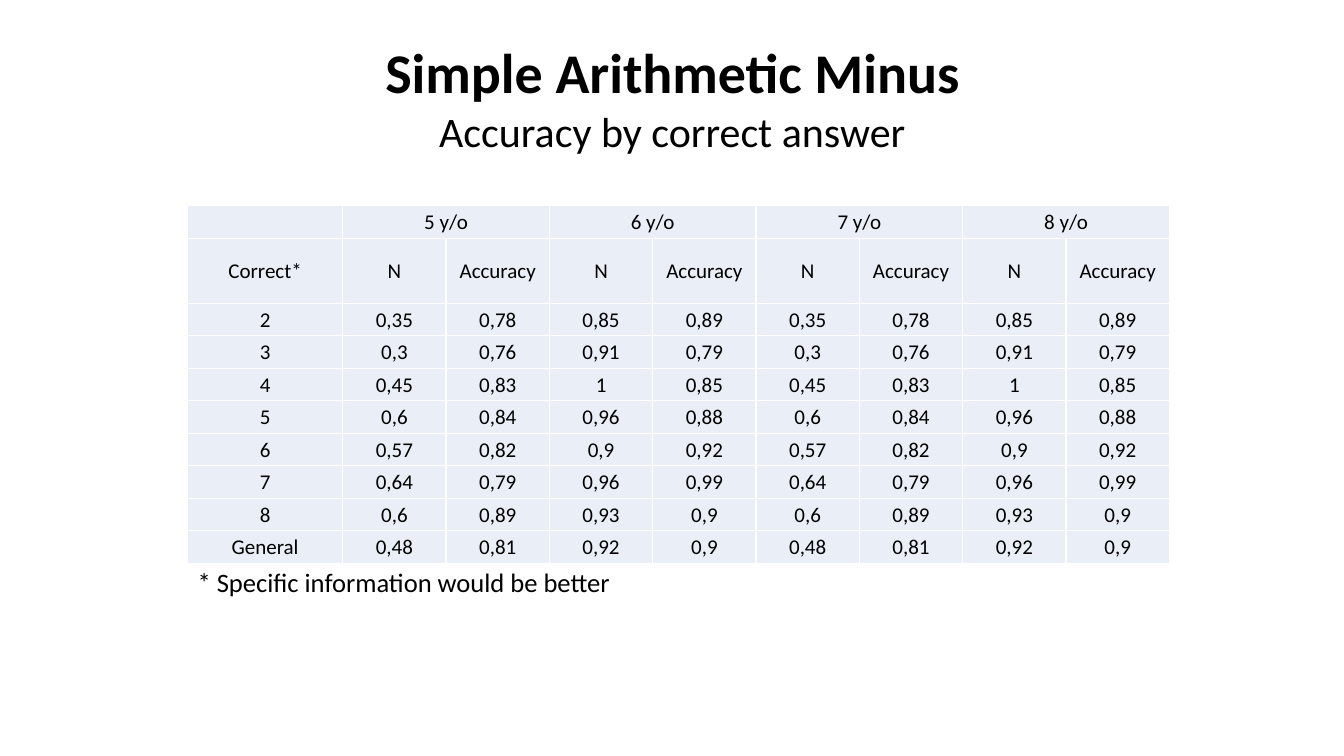
from dataclasses import dataclass

from lxml.etree import SubElement
from pptx import Presentation
from pptx.dml.color import RGBColor
from pptx.enum.text import MSO_ANCHOR, MSO_AUTO_SIZE, PP_ALIGN
from pptx.oxml.ns import qn
from pptx.util import Inches, Pt


@dataclass(frozen=True)
class Theme:
    """Colours, font and type sizes of the slide."""
    font: str = "Calibri"
    ink: str = "000000"
    cell: str = "EAEFF7"
    rule: str = "FFFFFF"
    heading_size: int = 40
    subheading_size: int = 30
    note_size: int = 19
    cell_size: int = 15
    rule_width: int = 1


THEME = Theme()
AGES = ("5 y/o", "6 y/o", "7 y/o", "8 y/o")
MEASURES = ("N", "Accuracy")
RESULTS = (
    ("2", "0,35", "0,78", "0,85", "0,89", "0,35", "0,78", "0,85", "0,89"),
    ("3", "0,3", "0,76", "0,91", "0,79", "0,3", "0,76", "0,91", "0,79"),
    ("4", "0,45", "0,83", "1", "0,85", "0,45", "0,83", "1", "0,85"),
    ("5", "0,6", "0,84", "0,96", "0,88", "0,6", "0,84", "0,96", "0,88"),
    ("6", "0,57", "0,82", "0,9", "0,92", "0,57", "0,82", "0,9", "0,92"),
    ("7", "0,64", "0,79", "0,96", "0,99", "0,64", "0,79", "0,96", "0,99"),
    ("8", "0,6", "0,89", "0,93", "0,9", "0,6", "0,89", "0,93", "0,9"),
    ("General", "0,48", "0,81", "0,92", "0,9", "0,48", "0,81", "0,92", "0,9"),
)


def style_paragraph(paragraph, size, align, bold=False):
    """Set the font and alignment of a paragraph."""
    paragraph.alignment = align
    font = paragraph.font
    font.name, font.size, font.bold = THEME.font, Pt(size), bold
    font.color.rgb = RGBColor.from_string(THEME.ink)


def place(placeholder, left, top, width, height):
    """Move a placeholder and fix its text size."""
    placeholder.left, placeholder.top = Inches(left), Inches(top)
    placeholder.width, placeholder.height = Inches(width), Inches(height)
    placeholder.text_frame.word_wrap = True
    placeholder.text_frame.auto_size = MSO_AUTO_SIZE.NONE


def fill_title(title):
    """Write the heading and the subheading."""
    place(title, 3.52, 0.32, 6.3, 1.28)
    title.text_frame.text = "Simple Arithmetic Minus\nAccuracy by correct answer"
    heading, subheading = title.text_frame.paragraphs
    style_paragraph(heading, THEME.heading_size, PP_ALIGN.CENTER, bold=True)
    style_paragraph(subheading, THEME.subheading_size, PP_ALIGN.CENTER)


def fill_note(note):
    """Write the unbulleted note below the table."""
    place(note, 1.86, 5.6, 6.13, 1.17)
    note.text_frame.text = "* Specific information would be better"
    remark = note.text_frame.paragraphs[0]
    remark.line_spacing = 0.9
    remark.space_before = Pt(0)
    properties = remark._p.get_or_add_pPr()
    properties.set("marL", "0")
    properties.set("indent", "0")
    SubElement(properties, qn("a:buNone"))
    style_paragraph(remark, THEME.note_size, PP_ALIGN.LEFT)


def add_borders(cell):
    """Rule all four sides of a cell."""
    properties = cell._tc.get_or_add_tcPr()
    for side in ("a:lnL", "a:lnR", "a:lnT", "a:lnB"):
        line = SubElement(properties, qn(side), w=str(Pt(THEME.rule_width)))
        fill = SubElement(line, qn("a:solidFill"))
        SubElement(fill, qn("a:srgbClr"), val=THEME.rule)


def fill_cell(cell, text):
    """Write and format one table cell."""
    cell.text = text
    cell.vertical_anchor = MSO_ANCHOR.MIDDLE
    cell.margin_left = cell.margin_right = cell.margin_top = Inches(0.01)
    cell.margin_bottom = Inches(0)
    style_paragraph(cell.text_frame.paragraphs[0], THEME.cell_size, PP_ALIGN.CENTER)
    add_borders(cell)
    cell.fill.solid()
    cell.fill.fore_color.rgb = RGBColor.from_string(THEME.cell)


def add_results(slide):
    """Add the table of results by age and correct answer."""
    age_row = ("",) + tuple(text for age in AGES for text in (age, ""))
    rows = (age_row, ("Correct*",) + MEASURES * len(AGES)) + RESULTS
    width, height, label_width = Inches(9.74), Inches(3.55), Inches(1.54)
    table = slide.shapes.add_table(
        len(rows), len(age_row), Inches(1.86), Inches(2.04), width, height).table
    table.first_row = table.horz_banding = False

    for index, column in enumerate(table.columns):
        column.width = (width - label_width) // (len(age_row) - 1) if index else label_width
    row_height = height // (len(rows) + 1)
    for index, row in enumerate(table.rows):
        row.height = row_height * 2 if index == 1 else row_height

    for row_index, row in enumerate(rows):
        for column_index, text in enumerate(row):
            fill_cell(table.cell(row_index, column_index), text)
    for first in range(1, len(age_row), len(MEASURES)):
        table.cell(0, first).merge(table.cell(0, first + len(MEASURES) - 1))


def main():
    """Build and save the slide."""
    deck = Presentation()
    deck.slide_width, deck.slide_height = Inches(13.33), Inches(7.5)
    slide = deck.slides.add_slide(deck.slide_layouts[1])
    fill_title(slide.shapes.title)
    add_results(slide)
    fill_note(slide.placeholders[1])
    deck.save("out.pptx")


if __name__ == "__main__":
    main()
